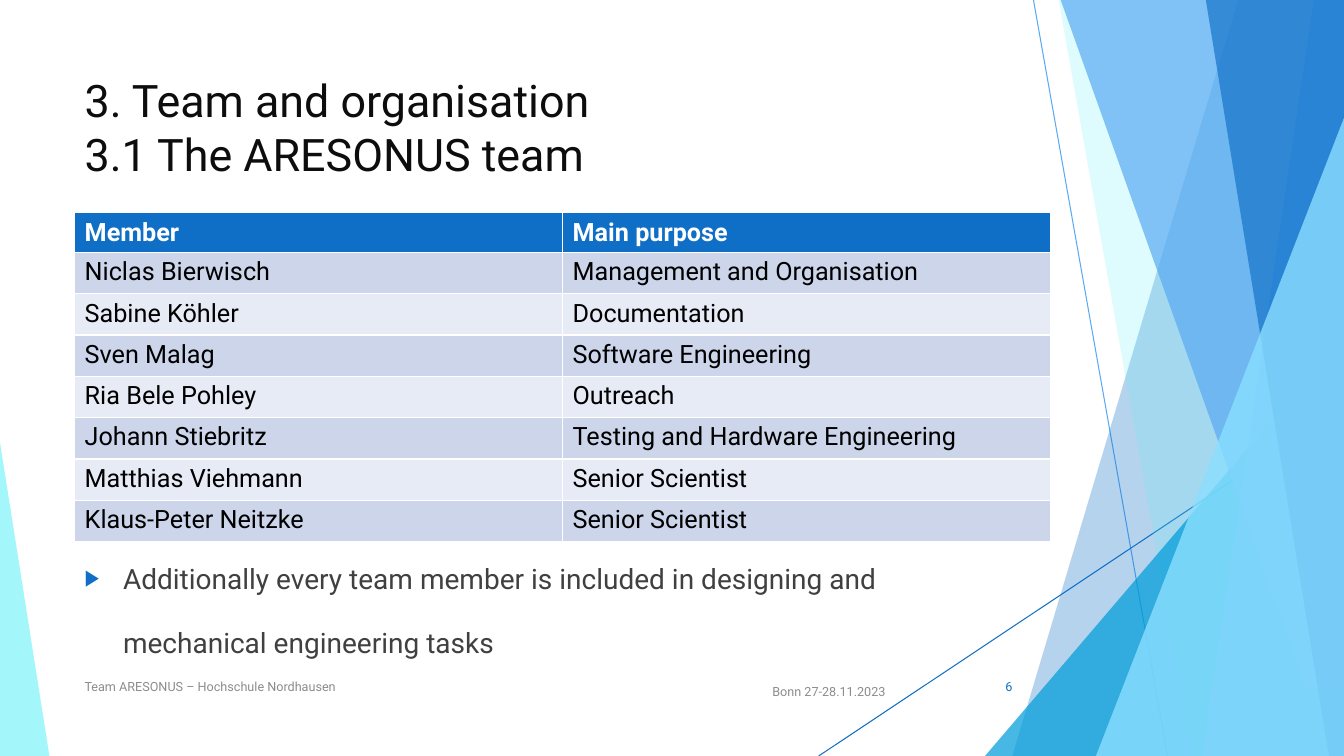
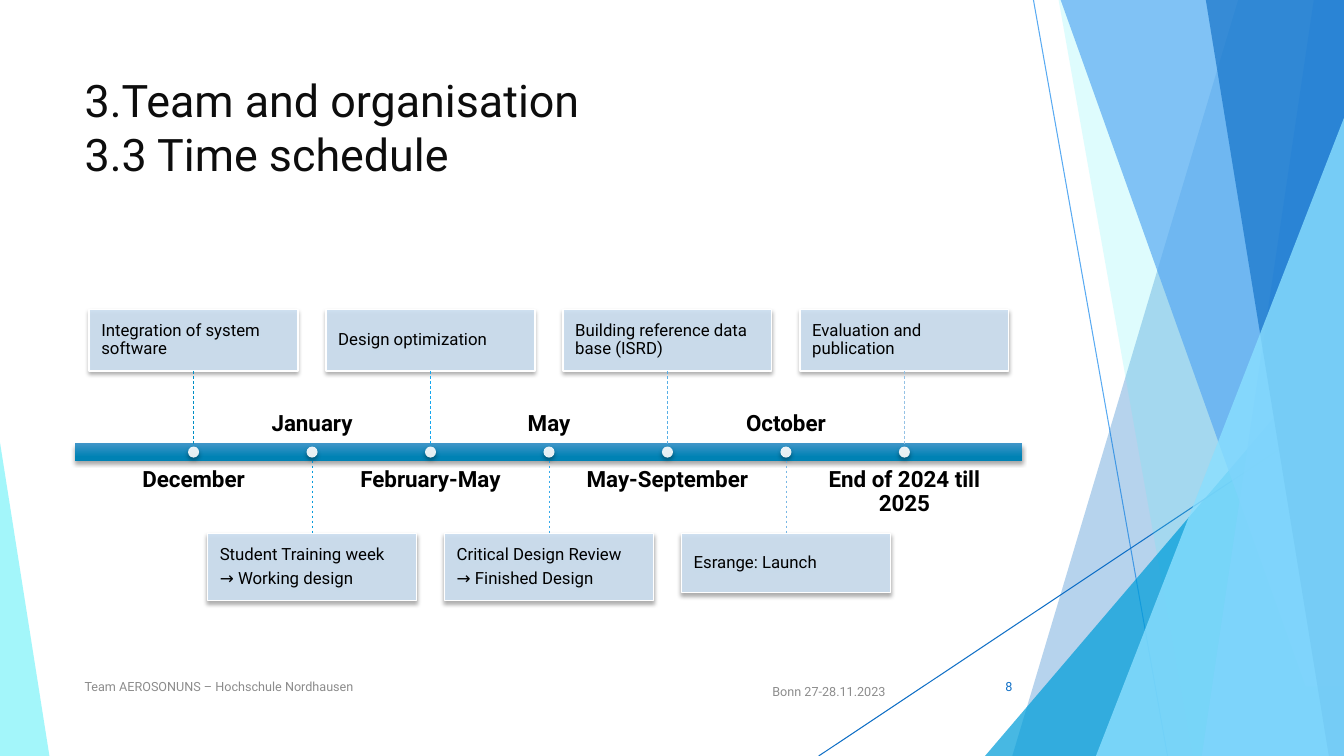
from dataclasses import dataclass

from lxml.etree import SubElement
from pptx import Presentation
from pptx.dml.color import RGBColor
from pptx.enum.dml import MSO_LINE
from pptx.enum.shapes import MSO_CONNECTOR, MSO_SHAPE
from pptx.enum.text import MSO_ANCHOR, MSO_AUTO_SIZE, PP_ALIGN
from pptx.oxml.ns import qn
from pptx.util import Inches, Pt


@dataclass(frozen=True)
class Theme:
    font: str = "Roboto"
    blue: str = "0F6FC6"
    sky: str = "59AAF2"
    cyan: str = "009DD9"
    aqua: str = "5EF0F7"
    pale_aqua: str = "94F5FA"
    light_sky: str = "8ADFFF"
    white: str = "FFFFFF"
    black: str = "000000"
    title: str = "0D0D0D"
    body: str = "404040"
    muted: str = "8C8C8C"
    row_dark: str = "CCD5EA"
    row_light: str = "E7EBF5"
    card: str = "CCDFF1"
    bar_top: str = "3F95C8"
    bar_bottom: str = "0082B4"
    title_size: int = 32
    body_size: int = 20
    table_size: int = 18
    label_size: int = 16
    card_size: int = 12
    footer_size: int = 9


THEME = Theme()
WIDTH, HEIGHT = 13.33, 7.5
LEFT, CONTENT_WIDTH = 0.74, 9.4

FACET_LINES = [
    ((10.25, 0), (11.58, HEIGHT), THEME.sky),
    ((WIDTH, 4.03), (8.12, HEIGHT), THEME.blue),
]
FACETS = [
    ("polygon", [(12.28, 0), (WIDTH, 0), (WIDTH, HEIGHT), (10.04, HEIGHT)], THEME.blue, 30),
    ("polygon", [(10.5, 0), (WIDTH, 0), (WIDTH, HEIGHT), (11.83, HEIGHT)], THEME.aqua, 20),
    ("right", (9.77, 3.33, 3.56, 4.17), THEME.cyan, 72),
    ("polygon", [(10.52, 0), (WIDTH, 0), (WIDTH, 6.81), (12.95, 6.81)], THEME.sky, 70),
    ("polygon", [(13.03, 0), (WIDTH, 0), (WIDTH, HEIGHT), (11.92, HEIGHT)], THEME.sky, 70),
    ("polygon", [(11.96, 0), (WIDTH, 0), (WIDTH, HEIGHT), (13.18, HEIGHT)], THEME.blue, 65),
    ("left", (0, 4.39, 0.49, 3.11), THEME.pale_aqua, 85),
    ("right", (10.87, 1.17, 2.46, 6.33), THEME.light_sky, 80),
]

DATE = "Bonn 27-28.11.2023"
TEAM_TITLE = ["3. Team and organisation", "3.1 The ARESONUS team"]
TEAM_FOOTER = "Team ARESONUS – Hochschule Nordhausen"
TEAM = [
    ("Member", "Main purpose"),
    ("Niclas Bierwisch", "Management and Organisation"),
    ("Sabine Köhler", "Documentation"),
    ("Sven Malag", "Software Engineering"),
    ("Ria Bele Pohley", "Outreach"),
    ("Johann Stiebritz", "Testing and Hardware Engineering"),
    ("Matthias Viehmann", "Senior Scientist"),
    ("Klaus-Peter Neitzke", "Senior Scientist"),
]
TEAM_NOTE = "Additionally every team member is included in designing and mechanical engineering tasks"

SCHEDULE_TITLE = ["3.Team and organisation", "3.3 Time schedule"]
SCHEDULE_FOOTER = "Team AEROSONUNS – Hochschule Nordhausen"
MILESTONES = [
    ("December", ["Integration of system software"], 0.61, "008EC5"),
    ("January", ["Student Training week", "→ Working design"], 0.67, "079BDC"),
    ("February-May", ["Design optimization"], 0.61, "13A6EF"),
    ("May", ["Critical Design Review", "→ Finished Design"], 0.67, "36A9E9"),
    ("May-September", ["Building reference data base (ISRD)"], 0.61, "58AFE6"),
    ("October", ["Esrange: Launch"], 0.59, "78B7E5"),
    ("End of 2024 till 2025", ["Evaluation and publication"], 0.61, "95C2E5"),
]


def inches(values):
    return [Inches(value) for value in values]


def color(value):
    return RGBColor.from_string(value)


def add_run(paragraph, text, size, text_color, bold=False):
    run = paragraph.add_run()
    run.text = text
    run.font.name = THEME.font
    run.font.size = Pt(size)
    run.font.bold = bold
    run.font.color.rgb = color(text_color)


def set_frame(shape, anchor, inset=None):
    frame = shape.text_frame
    frame.word_wrap = True
    frame.auto_size = MSO_AUTO_SIZE.NONE
    frame.vertical_anchor = anchor
    if inset is not None:
        frame.margin_left = frame.margin_right = Inches(inset)
        frame.margin_top = frame.margin_bottom = Inches(inset)
    return frame


def place(shape, box):
    shape.left, shape.top, shape.width, shape.height = inches(box)


def paint(shape, fill_color, opacity):
    shape.shadow.inherit = False
    shape.fill.solid()
    shape.fill.fore_color.rgb = color(fill_color)
    fill = shape.element.spPr.find(qn("a:solidFill"))
    SubElement(fill[0], qn("a:alpha"), val=str(opacity * 1000))
    shape.line.fill.background()


def cast_shadow(shape):
    shape.shadow.inherit = False
    effects = shape.element.spPr.find(qn("a:effectLst"))
    shadow = SubElement(effects, qn("a:outerShdw"), blurRad=str(Pt(3)), dist=str(Pt(2)),
                        dir="5400000", algn="ctr", rotWithShape="0")
    shade = SubElement(shadow, qn("a:srgbClr"), val=THEME.black)
    SubElement(shade, qn("a:alpha"), val="35000")


def add_line(slide, start, end, line_color, width):
    line = slide.shapes.add_connector(MSO_CONNECTOR.STRAIGHT, *inches(start + end))
    line.line.color.rgb = color(line_color)
    line.line.width = Pt(width)
    SubElement(line.element.spPr, qn("a:effectLst"))
    return line


def add_facet(slide, kind, geometry, fill_color, opacity):
    if kind == "polygon":
        points = [tuple(inches(point)) for point in geometry]
        builder = slide.shapes.build_freeform(*points[0])
        builder.add_line_segments(points[1:], close=True)
        shape = builder.convert_to_shape()
    else:
        shape = slide.shapes.add_shape(MSO_SHAPE.ISOSCELES_TRIANGLE, *inches(geometry))
        shape.adjustments[0] = 1 if kind == "right" else 0
    paint(shape, fill_color, opacity)
    return shape


def decorate_master(presentation, slide):
    facets = [add_line(slide, *line, 0.75) for line in FACET_LINES]
    facets += [add_facet(slide, *facet) for facet in FACETS]
    tree = presentation.slide_master.shapes.element
    for index, shape in enumerate(facets):
        shape.element.xpath(".//p:cNvPr")[0].set("id", str(100 + index))
        tree.insert(2 + index, shape.element)


def add_text(slide, box, text, size, text_color, alignment, anchor, inset=None, bold=False):
    shape = slide.shapes.add_textbox(*inches(box))
    paragraph = set_frame(shape, anchor, inset).paragraphs[0]
    paragraph.alignment = alignment
    add_run(paragraph, text, size, text_color, bold)
    return paragraph


def add_slide(presentation, layout_name, title_lines, footer, number):
    slide = presentation.slides.add_slide(presentation.slide_layouts.get_by_name(layout_name))
    title = slide.shapes.title
    place(title, (LEFT, 0.67, CONTENT_WIDTH, 1.44))
    paragraph = set_frame(title, MSO_ANCHOR.TOP).paragraphs[0]
    paragraph.alignment = PP_ALIGN.LEFT
    for index, line in enumerate(title_lines):
        if index:
            paragraph.add_line_break()
        add_run(paragraph, line, THEME.title_size, THEME.title)
    footers = [
        ((7.37, 6.71, 1.51, 0.3), DATE, THEME.muted, PP_ALIGN.RIGHT),
        ((LEFT, 6.61, 6.5, 0.4), footer, THEME.muted, PP_ALIGN.LEFT),
        ((9.39, 6.61, 0.75, 0.4), number, THEME.blue, PP_ALIGN.RIGHT),
    ]
    for box, text, text_color, alignment in footers:
        add_text(slide, box, text, THEME.footer_size, text_color, alignment, MSO_ANCHOR.MIDDLE)
    return slide


def add_bullet(slide, text):
    body = slide.placeholders[1]
    place(body, (LEFT, 5.22, CONTENT_WIDTH, 1.38))
    paragraph = set_frame(body, MSO_ANCHOR.TOP).paragraphs[0]
    paragraph.line_spacing = 1.9
    paragraph.space_before = Pt(0)
    add_run(paragraph, text, THEME.body_size, THEME.body)
    properties = paragraph._p.get_or_add_pPr()
    properties.set("marL", str(Inches(0.38)))
    properties.set("indent", str(-Inches(0.38)))
    bullet_color = SubElement(properties, qn("a:buClr"))
    SubElement(bullet_color, qn("a:srgbClr"), val=THEME.blue)
    SubElement(properties, qn("a:buSzPct"), val="80000")
    SubElement(properties, qn("a:buFont"), typeface=THEME.font)
    SubElement(properties, qn("a:buChar"), char="▶")


def add_team_table(slide):
    header_height, row_height, column_width = 0.39, 0.41, 4.84
    box = (LEFT, 2.11, 2 * column_width, header_height + row_height * (len(TEAM) - 1))
    table = slide.shapes.add_table(len(TEAM), 2, *inches(box)).table
    for column in table.columns:
        column.width = Inches(column_width)
    for index, entries in enumerate(TEAM):
        header = index == 0
        table.rows[index].height = Inches(header_height if header else row_height)
        band = THEME.row_dark if index % 2 else THEME.row_light
        for cell, text in zip(table.rows[index].cells, entries):
            cell.fill.solid()
            cell.fill.fore_color.rgb = color(THEME.blue if header else band)
            add_run(cell.text_frame.paragraphs[0], text, THEME.table_size,
                    THEME.white if header else THEME.black, header)


def add_card(slide, box, lines):
    card = slide.shapes.add_shape(MSO_SHAPE.RECTANGLE, *inches(box))
    paint(card, THEME.card, 90)
    card.line.color.rgb = color(THEME.white)
    card.line.width = Pt(1)
    cast_shadow(card)
    frame = set_frame(card, MSO_ANCHOR.MIDDLE, 0.12)
    for index, line in enumerate(lines):
        paragraph = frame.add_paragraph() if index else frame.paragraphs[0]
        paragraph.alignment = PP_ALIGN.LEFT
        paragraph.line_spacing = 0.9
        paragraph.space_after = Pt(0.35 * THEME.card_size)
        add_run(paragraph, line, THEME.card_size, THEME.black)


def add_timeline(slide):
    bar_top, bar_height, dot_size = 4.4, 0.17, 0.11
    first_center, step = 1.92, 1.175
    card_width, label_width, label_height = 2.07, 1.88, 0.48
    bar_bottom = bar_top + bar_height
    bar = slide.shapes.add_shape(MSO_SHAPE.RECTANGLE,
                                 *inches((LEFT, bar_top, CONTENT_WIDTH, bar_height)))
    bar.fill.gradient()
    bar.fill.gradient_angle = 270
    stops = bar.fill.gradient_stops
    for stop, position, stop_color in zip(stops, (0, 0.78), (THEME.bar_top, THEME.bar_bottom)):
        stop.position = position
        stop.color.rgb = color(stop_color)
    bar.line.fill.background()
    cast_shadow(bar)

    for index, (period, lines, card_height, line_color) in enumerate(MILESTONES):
        center = first_center + index * step
        above = index % 2 == 0
        card_top = 3.07 if above else 5.29
        label_top = 4.64 if above else 3.85
        start, end = (card_top + card_height, bar_top) if above else (bar_bottom, card_top)
        add_card(slide, (center - card_width / 2, card_top, card_width, card_height), lines)
        stem = add_line(slide, (center, start), (center, end), line_color, 0.5)
        stem.line.dash_style = MSO_LINE.DASH
        label = add_text(slide, (center - label_width / 2, label_top, label_width, label_height),
                         period, THEME.label_size, THEME.black, PP_ALIGN.CENTER,
                         MSO_ANCHOR.TOP if above else MSO_ANCHOR.BOTTOM, 0, True)
        label.line_spacing = 0.9
        label.space_after = Pt(0.35 * THEME.label_size)
        dot_top = bar_top + (bar_height - dot_size) / 2
        dot = slide.shapes.add_shape(MSO_SHAPE.OVAL, *inches(
            (center - dot_size / 2, dot_top, dot_size, dot_size)))
        paint(dot, THEME.white, 90)
        cast_shadow(dot)


def main():
    presentation = Presentation()
    presentation.slide_width, presentation.slide_height = inches((WIDTH, HEIGHT))
    team = add_slide(presentation, "Title and Content", TEAM_TITLE, TEAM_FOOTER, "6")
    decorate_master(presentation, team)
    add_bullet(team, TEAM_NOTE)
    add_team_table(team)
    schedule = add_slide(presentation, "Title Only", SCHEDULE_TITLE, SCHEDULE_FOOTER, "8")
    add_timeline(schedule)
    presentation.save("out.pptx")


if __name__ == "__main__":
    main()
